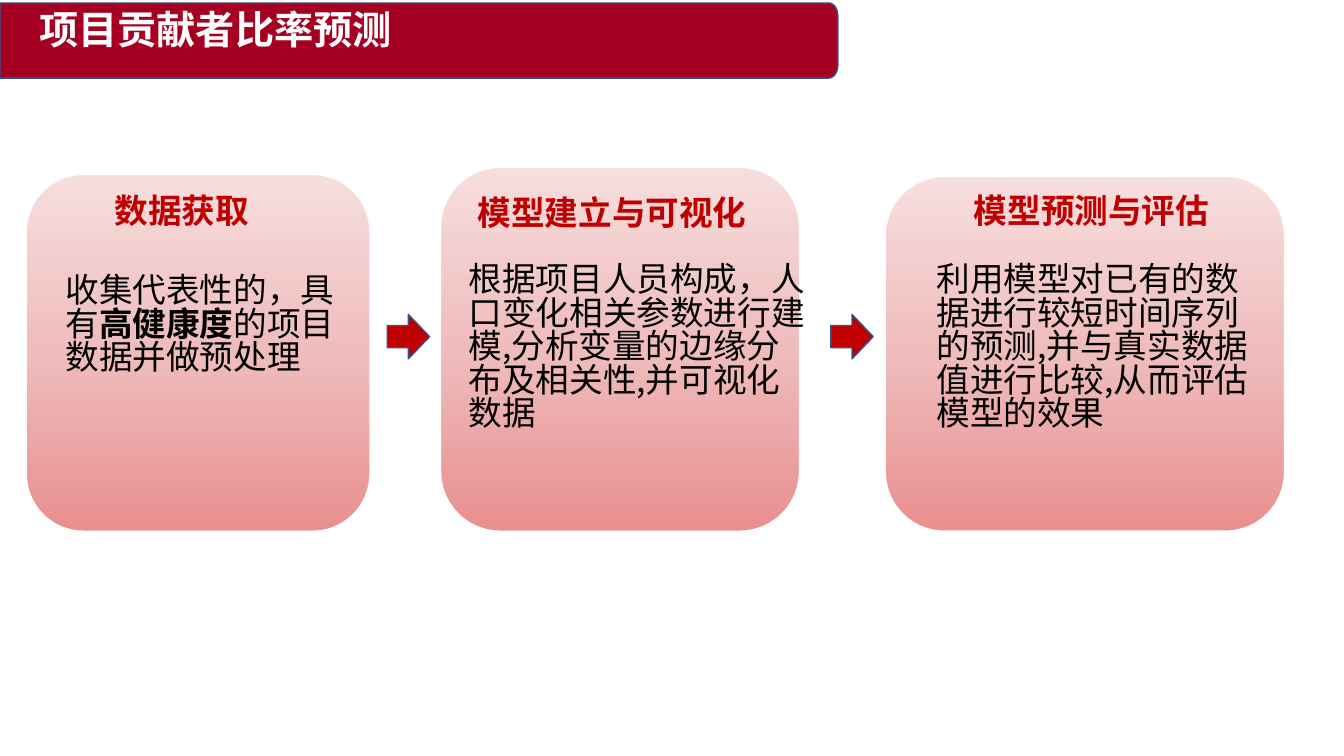
from copy import deepcopy
from math import cos, pi, sin

from lxml.etree import SubElement
from pptx import Presentation
from pptx.dml.color import RGBColor
from pptx.enum.shapes import MSO_SHAPE as Preset
from pptx.enum.text import MSO_ANCHOR as Anchor, PP_ALIGN as Align
from pptx.oxml.ns import qn
from pptx.util import Inches, Pt

FONT = "Noto Sans CJK SC"
COLORS = {
    "banner": "A50021", "accent": "C00000", "edge": "325491",
    "text": "000000", "white": "FFFFFF",
    "card_low": "E98F8F", "card_mid": "EFBCBC", "card_high": "F7DEDE",
}
WIDTH, HEIGHT = Inches(13.33), Inches(7.5)
CARD_BOTTOM = 70.27
STAGES = [
    {
        "card": (1.95, 23.07, 25.58),
        "heading": (7.8, 25.33, 22.06, 12.13), "name": "数据获取",
        "detail": (4.13, 35.87, 22.06, 17.47),
        "parts": [("收集代表性的，具有", False), ("高健康度", True),
                  ("的项目数据并做预处理", False)],
    },
    {
        "card": (32.78, 22.13, 26.71),
        "heading": (34.81, 25.6, 26.48, 12.13), "name": "模型建立与可视化",
        "detail": (34.13, 34.4, 26.48, 28.27),
        "parts": [("根据项目人员构成，人口变化相关参数进行建模,"
                   "分析变量的边缘分布及相关性,并可视化数据", False)],
    },
    {
        "card": (65.87, 23.33, 29.71),
        "heading": (71.72, 25.33, 21.91, 12.13), "name": "模型预测与评估",
        "detail": (68.94, 34.4, 24.68, 28.27),
        "parts": [("利用模型对已有的数据进行较短时间序列的预测,"
                   "并与真实数据值进行比较,从而评估模型的效果", False)],
    },
]
ARROW_LEFTS = (28.81, 61.82)


def rgb(key):
    """Return the named colour."""
    return RGBColor.from_string(COLORS[key])


def place(left, top, width, height):
    """Turn percentages of the slide into lengths."""
    return (round(WIDTH * left / 100), round(HEIGHT * top / 100),
            round(WIDTH * width / 100), round(HEIGHT * height / 100))


def write(frame, parts, size=24, color="text"):
    """Write (text, bold) parts as one left-aligned paragraph."""
    frame.word_wrap = True
    frame.vertical_anchor = Anchor.TOP
    paragraph = frame.paragraphs[0]
    paragraph.alignment = Align.LEFT
    paragraph.line_spacing = 0.83
    for text, bold in parts:
        run = paragraph.add_run()
        run.text = text
        font = run.font
        font.size, font.bold, font.name = Pt(size), bold, FONT
        font.color.rgb = rgb(color)
        SubElement(run._r.get_or_add_rPr(), qn("a:ea"), typeface=FONT)


def paint(shape, edge, fill=None):
    """Give a shape its outline and optional solid fill."""
    shape.shadow.inherit = False
    shape.line.color.rgb = rgb(edge)
    shape.line.width = Pt(1)
    if fill:
        shape.fill.solid()
        shape.fill.fore_color.rgb = rgb(fill)


def add_label(slide, area, parts, **style):
    """Add a text box with formatted parts."""
    write(slide.shapes.add_textbox(*place(*area)).text_frame, parts, **style)


def add_card(slide, left, top, width):
    """Add a rounded card that fades upwards."""
    area = place(left, top, width, CARD_BOTTOM - top)
    card = slide.shapes.add_shape(Preset.ROUNDED_RECTANGLE, *area)
    paint(card, "white")
    card.fill.gradient()
    card.fill.gradient_angle = 90
    low, high = card.fill.gradient_stops
    low.position, high.position = 0, 1
    low.color.rgb, high.color.rgb = rgb("card_low"), rgb("card_high")
    stops = card._element.spPr.find(qn("a:gradFill")).find(qn("a:gsLst"))
    stops.insert(1, deepcopy(stops[0]))
    middle = card.fill.gradient_stops[1]
    middle.position, middle.color.rgb = 0.5, rgb("card_mid")


def add_arrow(slide, left):
    """Add an arrow between two cards."""
    area = place(left, 41.6, 3.15, 5.87)
    paint(slide.shapes.add_shape(Preset.RIGHT_ARROW, *area), "edge", "accent")


def add_banner(slide):
    """Add the title band with rounded right corners."""
    left, top, width, height = place(0, 0.4, 62.34, 9.93)
    _, _, radius_x, radius_y = place(0, 0, 0.68, 1.73)
    right, bottom = left + width, top + height
    steps = [pi / 2 * step / 12 for step in range(13)]
    upper = [(right - radius_x * (1 - sin(angle)),
              top + radius_y * (1 - cos(angle))) for angle in steps]
    lower = [(x, top + bottom - y) for x, y in reversed(upper)]
    outline = slide.shapes.build_freeform(left, top)
    outline.add_line_segments(upper + lower + [(left, bottom)], close=True)
    paint(outline.convert_to_shape(), "edge", "banner")


def add_title(slide, text):
    """Format the title and bring it in front of the banner."""
    title = slide.shapes.title
    title.left, title.top, title.width, title.height = place(
        2.18, 1.07, 36.68, 7.6)
    write(title.text_frame, [(text, True)], size=28, color="white")
    slide.shapes._spTree.append(title._element)


def main():
    """Build and save the slide."""
    deck = Presentation()
    deck.slide_width, deck.slide_height = WIDTH, HEIGHT
    slide = deck.slides.add_slide(deck.slide_layouts[5])
    add_banner(slide)
    add_title(slide, "项目贡献者比率预测")
    for stage in STAGES:
        add_card(slide, *stage["card"])
        add_label(slide, stage["heading"], [(stage["name"], True)],
                  color="accent")
        add_label(slide, stage["detail"], stage["parts"])
    for left in ARROW_LEFTS:
        add_arrow(slide, left)
    deck.save("out.pptx")


if __name__ == "__main__":
    main()
